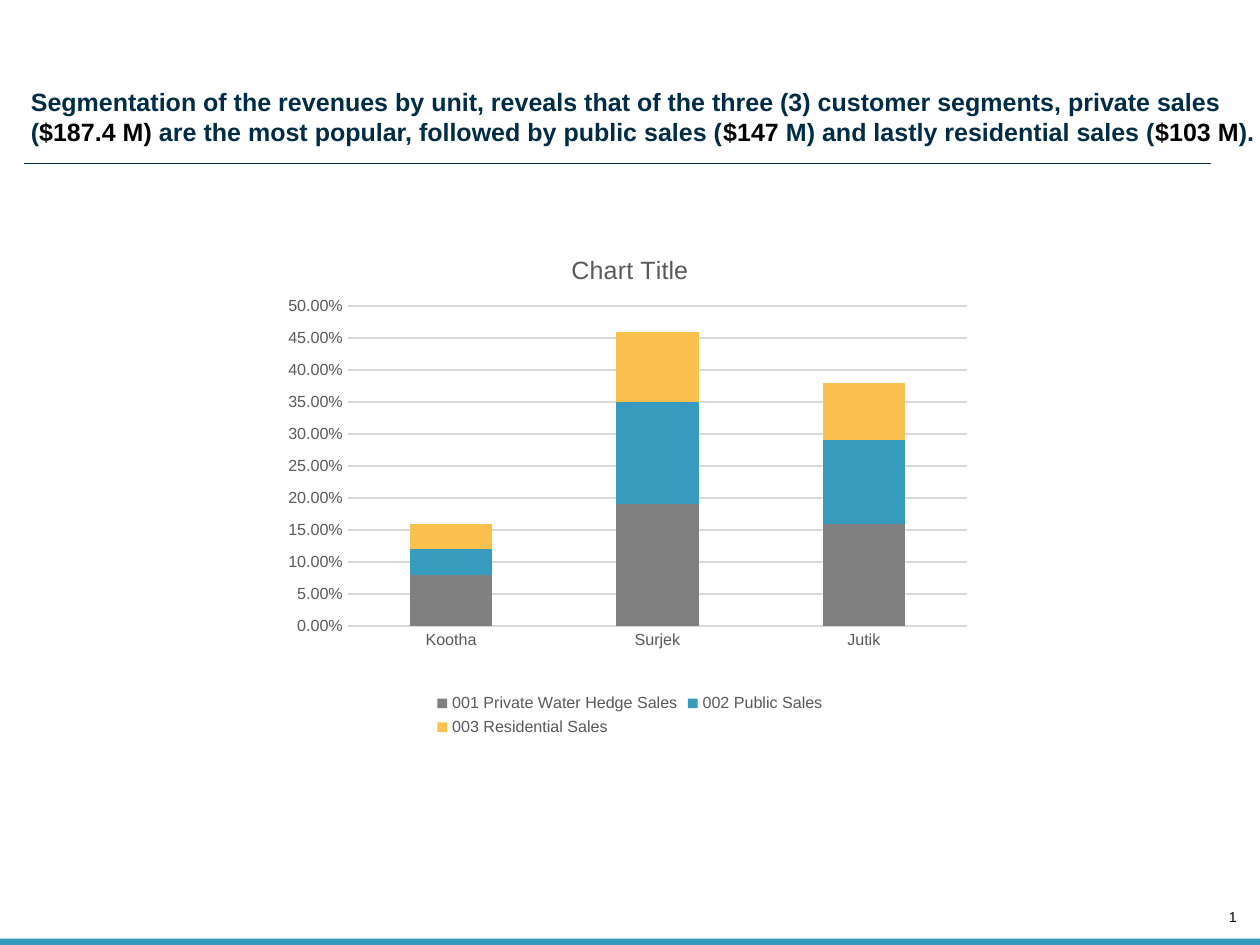
from dataclasses import dataclass

from lxml import etree
from pptx import Presentation
from pptx.chart.data import CategoryChartData
from pptx.dml.color import RGBColor
from pptx.enum.chart import XL_CHART_TYPE, XL_LEGEND_POSITION, XL_TICK_MARK
from pptx.enum.shapes import MSO_CONNECTOR, MSO_SHAPE
from pptx.enum.text import MSO_ANCHOR, PP_ALIGN
from pptx.oxml import parse_xml
from pptx.oxml.ns import nsdecls, qn
from pptx.util import Inches, Pt


@dataclass(frozen=True)
class Theme:
    face: str = "Arial"
    navy: RGBColor = RGBColor(0x00, 0x2C, 0x46)
    black: RGBColor = RGBColor(0x00, 0x00, 0x00)
    blue: RGBColor = RGBColor(0x37, 0x9B, 0xBD)
    gray: RGBColor = RGBColor(0x80, 0x80, 0x80)
    gold: RGBColor = RGBColor(0xFB, 0xC1, 0x4E)
    label: RGBColor = RGBColor(0x59, 0x59, 0x59)
    grid: RGBColor = RGBColor(0xD9, 0xD9, 0xD9)
    head: Pt = Pt(14)
    small: Pt = Pt(9)
    page: Pt = Pt(8)
    thin: Pt = Pt(0.75)


theme = Theme()


def style(font, size, color, bold=False):
    font.name, font.size, font.bold = theme.face, size, bold
    font.color.rgb = color


def add_text(slide, left, top, width, height, runs, size, bold=False):
    """Add a one-paragraph box without margins from (text, color) runs."""
    box = slide.shapes.add_textbox(
        Inches(left), Inches(top), Inches(width), Inches(height))
    frame = box.text_frame
    frame.margin_left = frame.margin_right = 0
    frame.margin_top = frame.margin_bottom = 0
    for text, color in runs:
        run = frame.paragraphs[0].add_run()
        run.text = text
        style(run.font, size, color, bold)
    return frame


deck = Presentation()
deck.slide_width, deck.slide_height = Inches(9.8), Inches(7.35)
slide = deck.slides.add_slide(deck.slide_layouts[6])

# Footer
page = add_text(slide, 9.48, 7.07, 0.14, 0.13, [("1", theme.black)], theme.page)
page.word_wrap = False
page.vertical_anchor = MSO_ANCHOR.BOTTOM
page.paragraphs[0].alignment = PP_ALIGN.RIGHT

band = slide.shapes.add_shape(
    MSO_SHAPE.RECTANGLE, 0, Inches(7.3), deck.slide_width, Inches(0.05))
band.shadow.inherit = False
band.fill.solid()
band.fill.fore_color.rgb = theme.blue
band.line.fill.background()

# Headline
title = add_text(slide, 0.24, 0.67, 9.56, 0.47, [
    ("Segmentation of the revenues by unit, reveals that of the three (3) "
     "customer segments, private sales (", theme.navy),
    ("$187.4 M)", theme.black),
    (" are the most popular, followed by public sales (", theme.navy),
    ("$147 ", theme.black),
    ("M) and lastly residential sales (", theme.navy),
    ("$103 M", theme.black),
    (").", theme.navy),
], theme.head, bold=True)
title.word_wrap = True

rule = slide.shapes.add_connector(
    MSO_CONNECTOR.STRAIGHT, Inches(0.19), Inches(1.27), Inches(9.42), Inches(1.27))
rule.line.color.rgb = theme.navy
rule.line.width = theme.thin
etree.SubElement(rule.element.spPr, qn("a:effectLst"))

# Chart
sales = [
    ("001 Private Water Hedge Sales", (0.08, 0.19, 0.16), theme.gray),
    ("002 Public Sales", (0.04, 0.16, 0.13), theme.blue),
    ("003 Residential Sales", (0.04, 0.11, 0.09), theme.gold),
]
data = CategoryChartData(number_format="0.00%")
data.categories = ["Kootha", "Surjek", "Jutik"]
for name, values, color in sales:
    data.add_series(name, values)
chart = slide.shapes.add_chart(
    XL_CHART_TYPE.COLUMN_STACKED, Inches(2.05), Inches(1.81),
    Inches(5.7), Inches(3.96), data).chart
style(chart.font, theme.small, theme.label)

chart.has_title = True
run = chart.chart_title.text_frame.paragraphs[0].add_run()
run.text = "Chart Title"
style(run.font, theme.head, theme.label)
chart.chart_title.include_in_layout = False

chart.has_legend = True
chart.legend.position = XL_LEGEND_POSITION.BOTTOM
chart.legend.include_in_layout = False
style(chart.legend.font, theme.small, theme.label)

plot = chart.plots[0]
plot.gap_width, plot.overlap = 150, 100
plot.vary_by_categories = False
for series, (name, values, color) in zip(plot.series, sales):
    series.format.fill.solid()
    series.format.fill.fore_color.rgb = color

cats, vals = chart.category_axis, chart.value_axis
for axis in (cats, vals):
    axis.major_tick_mark = axis.minor_tick_mark = XL_TICK_MARK.NONE
    style(axis.tick_labels.font, theme.small, theme.label)
vals.minimum_scale, vals.maximum_scale, vals.major_unit = 0, 0.5, 0.05
vals.tick_labels.number_format = "0.00%"
vals.tick_labels.number_format_is_linked = False
vals.format.line.fill.background()
vals.has_major_gridlines = True
for line in (cats.format.line, vals.major_gridlines.format.line):
    line.color.rgb = theme.grid
    line.width = theme.thin

# Fixed inner plot area, as shares of the chart frame
area = chart.element.find(".//" + qn("c:plotArea"))
for old in area.findall(qn("c:layout")):
    area.remove(old)
area.insert(0, parse_xml(
    f'<c:layout {nsdecls("c")}><c:manualLayout><c:layoutTarget val="inner"/>'
    '<c:xMode val="edge"/><c:yMode val="edge"/><c:x val="0.115"/>'
    '<c:y val="0.144"/><c:w val="0.845"/><c:h val="0.629"/>'
    '</c:manualLayout></c:layout>'))

deck.save("out.pptx")
